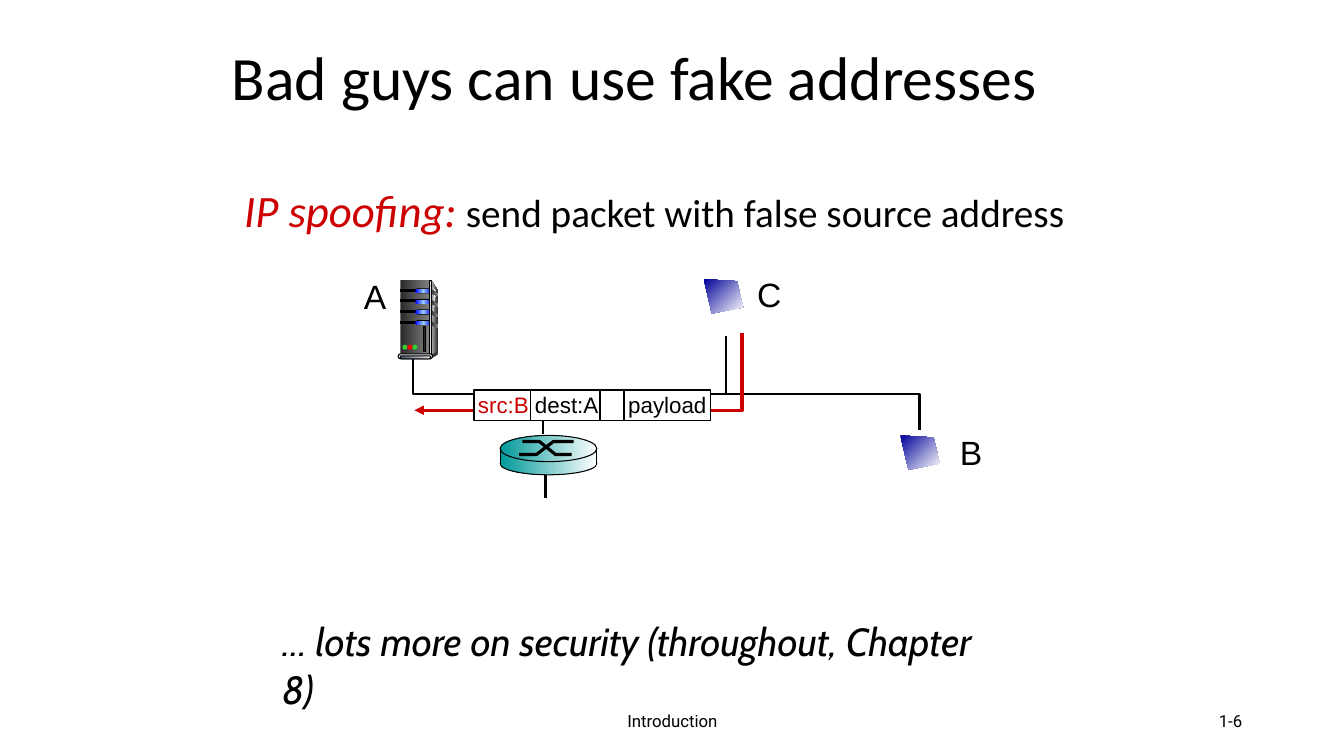
"""Build the slide on IP spoofing with fake source addresses."""
from copy import deepcopy

from lxml import etree
from pptx import Presentation
from pptx.dml.color import RGBColor
from pptx.enum import shapes as kinds, text
from pptx.oxml.ns import qn
from pptx.util import Inches, Pt

COLORS = {
    "black": "000000", "white": "FFFFFF", "red": "CC0000", "navy": "000099",
    "teal": "009999", "blue": "0000FF", "sky": "99CCFF", "coal": "292929",
    "dark": "333333", "gray": "808080", "silver": "DDDDDD", "pale": "F8F8F8",
    "slate": "44546A", "mist": "E7E6E6", "green": "33CC33", "alarm": "FF0000",
}

TITLE = "Bad guys can use fake addresses"
DEFINITION = [("IP spoofing:", {"size": 32, "color": "red", "italic": True}),
              (" send packet with false source address", {"size": 28})]
CLOSING = "… lots more on security (throughout, Chapter 8)"
PACKET = [("src:B", {"size": 16, "font": "Arial", "color": "red"}),
          (" dest:A\tpayload", {"size": 16, "font": "Arial"})]
PACKET_DIVIDERS = [5.26, 5.95, 6.19]
HOSTS = [("A", 3.51, 2.69, 0.42), ("B", 9.42, 4.24, 0.42), ("C", 7.41, 2.67, 0.44)]
SCREENS = [(6.98, 2.77), (8.93, 4.32)]
SCREEN_OUTLINE = [(0, 0), (0.33, 0.02), (0.39, 0.28), (0.08, 0.34)]
NETWORK = [(4.1, 3.47), (4.1, 3.91), (9.12, 3.91), (9.12, 4.27)]
LINKS = [((7.2, 3.9), (7.2, 3.33)), ((5.39, 4.31), (5.39, 3.9)),
         ((5.41, 4.94), (5.41, 4.68))]
SPOOFED_ROUTE = [(7.36, 3.3), (7.36, 4.07), (4.11, 4.07)]
SERVER_SIDE = [(4.28, 2.78), (4.34, 2.88), (4.34, 3.5), (4.26, 3.53)]
SERVER_EDGE = [(4.28, 2.83), (4.32, 2.89), (4.29, 3.2), (4.28, 3.51)]
SERVER_FOOT = [(4.27, 3.52), (4.27, 3.56), (4.34, 3.52), (4.34, 3.49)]
BAND = [(4.27, 0), (4.34, 0.04), (4.34, 0.07), (4.27, 0.03)]
BAY_TOP, BAY_STEP, BAY_COUNT = 2.87, 0.105, 4
LAMPS = ["green", "alarm", "green"]
ROUTER_LEFT, ROUTER_WIDTH = 4.96, 0.96
ROUTER_CROSS = [[(5.15, 4.51), (5.32, 4.51), (5.49, 4.38), (5.69, 4.38)],
                [(5.18, 4.38), (5.35, 4.38), (5.51, 4.51), (5.67, 4.51)]]


def rgb(name):
    return RGBColor.from_string(COLORS[name])


def paint(shape, fill=None, line=None, width=0.75, angle=0):
    shape.shadow.inherit = False
    if isinstance(fill, tuple):
        shape.fill.gradient()
        shape.fill.gradient_angle = angle
        stop_list = shape.fill.gradient_stops
        if len(fill) == 3:
            first = shape._element.spPr.find(".//" + qn("a:gs"))
            first.addnext(deepcopy(first))
            stop_list = shape.fill.gradient_stops
        for index, (stop, name) in enumerate(zip(stop_list, fill)):
            stop.position = index / (len(fill) - 1)
            stop.color.rgb = rgb(name)
    elif fill:
        shape.fill.solid()
        shape.fill.fore_color.rgb = rgb(fill)
    else:
        shape.fill.background()
    if line:
        shape.line.color.rgb = rgb(line)
        shape.line.width = Pt(width)
    else:
        shape.line.fill.background()
    return shape


def draw(owner, kind, box, **style):
    shape = owner.shapes.add_shape(kind, *map(Inches, box))
    if kind == PILL:
        shape.adjustments[0] = 0.5
    return paint(shape, **style)


def outline(owner, points, close=True, **style):
    scaled = [(Inches(x), Inches(y)) for x, y in points]
    builder = owner.shapes.build_freeform(*scaled[0], scale=1.0)
    builder.add_line_segments(scaled[1:], close=close)
    return paint(builder.convert_to_shape(), **style)


def connect(owner, start, end, width):
    connector = owner.shapes.add_connector(
        kinds.MSO_CONNECTOR.STRAIGHT, *map(Inches, start + end))
    connector.line.color.rgb = rgb("black")
    connector.line.width = Pt(width)
    etree.SubElement(connector._element.spPr, qn("a:effectLst"))


def write(paragraph, content, size=12, font="Calibri", color="black", italic=False):
    run = paragraph.add_run()
    run.text = content
    run.font.size = Pt(size)
    run.font.name = font
    run.font.italic = italic
    run.font.color.rgb = rgb(color)


def place(shape, box):
    shape.left, shape.top, shape.width, shape.height = map(Inches, box)
    shape.text_frame.auto_size = text.MSO_AUTO_SIZE.NONE
    return shape.text_frame.paragraphs[0]


def label(owner, box, content, wrap=True, align=text.PP_ALIGN.LEFT,
          anchor=text.MSO_ANCHOR.TOP, **style):
    frame = owner.shapes.add_textbox(*map(Inches, box)).text_frame
    frame.word_wrap = wrap
    frame.vertical_anchor = anchor
    paragraph = frame.paragraphs[0]
    paragraph.alignment = align
    write(paragraph, content, **style)


def add_texts(slide):
    title = slide.shapes.title
    paragraph = place(title, (2.2, 0.28, 8.5, 1.04))
    title.text_frame.vertical_anchor = text.MSO_ANCHOR.MIDDLE
    paragraph.alignment = text.PP_ALIGN.LEFT
    paragraph.line_spacing = 0.9
    write(paragraph, TITLE, size=44)

    paragraph = place(slide.placeholders[1], (2.32, 1.82, 8.83, 1.62))
    properties = paragraph._p.get_or_add_pPr()
    properties.set("marL", str(Inches(0.25)))
    properties.set("indent", str(-Inches(0.25)))
    etree.SubElement(properties, qn("a:buNone"))
    paragraph.line_spacing = 0.9
    paragraph.space_before = Pt(0)
    for content, style in DEFINITION:
        write(paragraph, content, **style)

    label(slide, (2.7, 6.08, 7.3, 0.57), CLOSING, size=28, font="Cabin", italic=True)
    for box, content, align in [((4.42, 6.95, 4.5, 0.4), "Introduction", text.PP_ALIGN.CENTER),
                                ((9.42, 6.95, 3, 0.4), "1-6", text.PP_ALIGN.RIGHT)]:
        label(slide, box, content, align=align, anchor=text.MSO_ANCHOR.MIDDLE, font="Roboto")


def add_network(slide):
    for left, top in SCREENS:
        outline(slide, [(left + x, top + y) for x, y in SCREEN_OUTLINE],
                fill=("navy", "white"), angle=315)
    outline(slide, NETWORK, close=False, line="black", width=1.5)
    for start, end in LINKS:
        connect(slide, start, end, 1.5)
    for name, left, top, width in HOSTS:
        label(slide, (left, top, width, 0.5), name, wrap=False,
              align=text.PP_ALIGN.CENTER, size=24, font="Arial")
    route = outline(slide, SPOOFED_ROUTE, close=False, line="red", width=2.25)
    etree.SubElement(route.line._get_or_add_ln(), qn("a:tailEnd"), type="triangle")


def add_packet(slide):
    packet = slide.shapes.add_group_shape()
    draw(packet, RECT, (4.7, 3.87, 2.35, 0.3), fill="white", line="black", width=1)
    for x in PACKET_DIVIDERS:
        connect(packet, (x, 3.88), (x, 4.17), 1)
    frame = packet.shapes.add_textbox(*map(Inches, (4.62, 3.83, 2.51, 0.37))).text_frame
    frame.word_wrap = True
    frame.margin_left = Inches(0.12)
    paragraph = frame.paragraphs[0]
    tabs = etree.SubElement(paragraph._p.get_or_add_pPr(), qn("a:tabLst"))
    etree.SubElement(tabs, qn("a:tab"), pos=str(Inches(1.49)), algn="l")
    for content, style in PACKET:
        write(paragraph, content, **style)


def add_server(slide):
    server = slide.shapes.add_group_shape()
    outline(server, SERVER_SIDE, fill=("silver", "dark"))
    draw(server, RECT, (3.97, 2.78, 0.29, 0.74), fill=("coal", "gray"))
    outline(server, SERVER_EDGE, fill=("gray", "pale"))
    for bay in range(BAY_COUNT):
        top = BAY_TOP + bay * BAY_STEP
        outline(server, [(x, top + y) for x, y in BAND], fill=("coal", "gray"))
        draw(server, RECT, (3.97, top, 0.17, 0.02), fill="black", line="black")
        draw(server, PILL, (4.12, top - 0.01, 0.16, 0.05), fill="black")
        draw(server, PILL, (4.12, top, 0.16, 0.04), fill=("blue", "sky", "blue"))
    draw(server, RECT, (4.26, 2.78, 0.02, 0.74), fill=("dark", "silver", "dark"), line="black")
    draw(server, OVAL, (4.33, 3.49, 0.01, 0.03), fill="dark")
    outline(server, SERVER_FOOT, fill="dark")
    draw(server, PILL, (3.95, 3.51, 0.34, 0.05), fill="silver", line="black")
    draw(server, PILL, (3.97, 3.53, 0.3, 0.03), fill=("slate", "mist"), line="black")
    for index, lamp in enumerate(LAMPS):
        draw(server, OVAL, (3.99 + index * 0.05, 3.42, 0.05, 0.05), fill=lamp)
    draw(server, RECT, (4.2, 3.24, 0.02, 0.25), fill="coal", line="black")


def add_router(slide):
    router = slide.shapes.add_group_shape()
    for kind, top, height, line in [(OVAL, 4.49, 0.22, "black"), (RECT, 4.47, 0.14, None),
                                    (OVAL, 4.32, 0.26, "black")]:
        draw(router, kind, (ROUTER_LEFT, top, ROUTER_WIDTH, height),
             fill=("teal", "white"), line=line)
    for points in ROUTER_CROSS:
        outline(router, points, close=False, line="black", width=2.25)
    for x in (ROUTER_LEFT, ROUTER_LEFT + ROUTER_WIDTH):
        connect(router, (x, 4.45), (x, 4.61), 0.75)


RECT = kinds.MSO_SHAPE.RECTANGLE
PILL = kinds.MSO_SHAPE.ROUNDED_RECTANGLE
OVAL = kinds.MSO_SHAPE.OVAL


def main():
    presentation = Presentation()
    presentation.slide_width, presentation.slide_height = Inches(13.33), Inches(7.5)
    slide = presentation.slides.add_slide(presentation.slide_layouts[1])
    for add_part in (add_texts, add_network, add_packet, add_server, add_router):
        add_part(slide)
    presentation.save("out.pptx")


if __name__ == "__main__":
    main()
